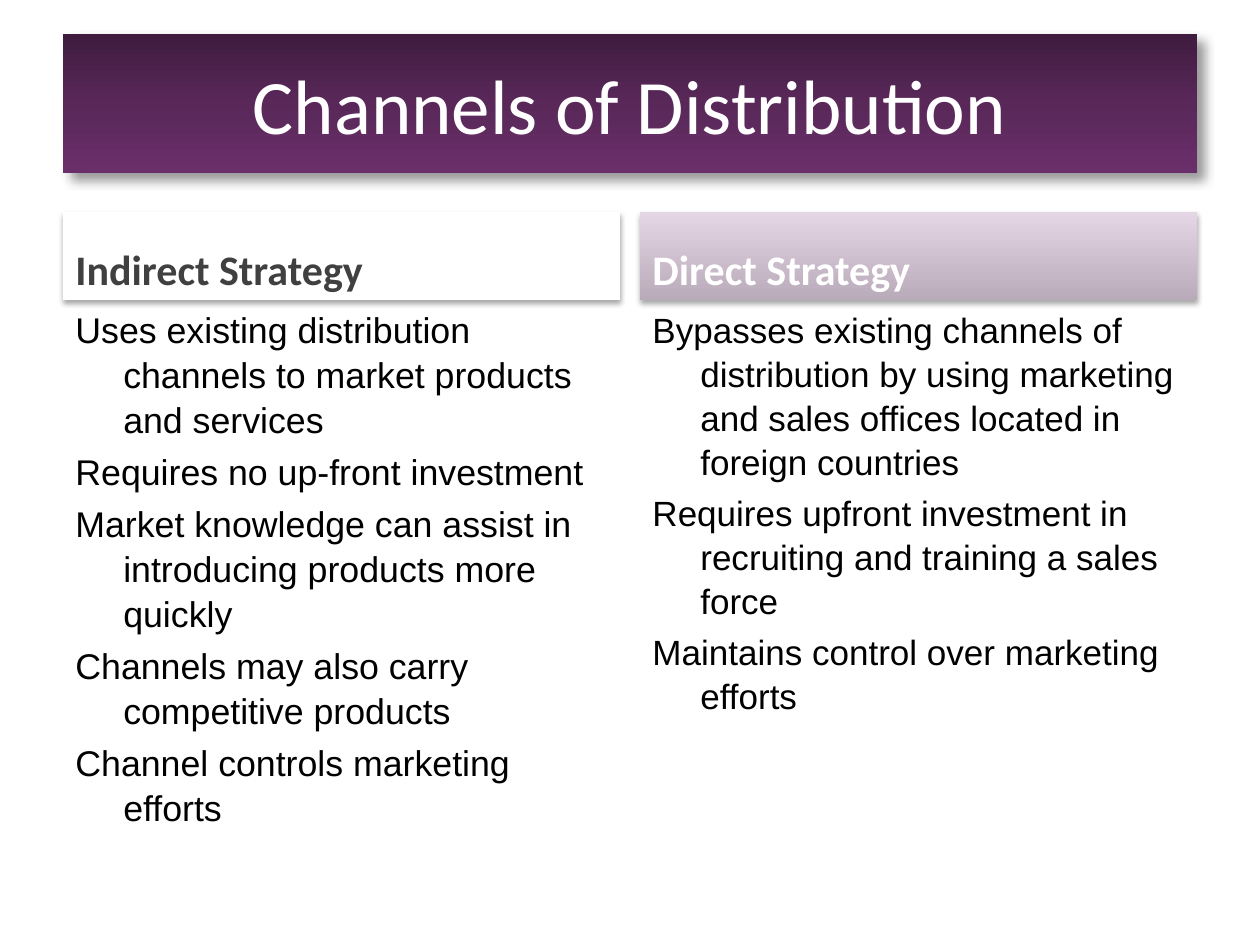
from copy import deepcopy
from dataclasses import dataclass

from lxml import etree
from pptx import Presentation
from pptx import util as u
from pptx.dml.color import RGBColor
from pptx.enum import shapes, text
from pptx.oxml import ns

COLORS = {
    "white": "FFFFFF",
    "black": "000000",
    "charcoal": "404040",
    "plum_dark": "3F1C3F",
    "plum_mid": "592859",
    "plum": "6A2F6A",
    "mauve": "BAABBA",
    "lilac": "E4D6E4",
}
MARGIN = 0.5
COLUMN_WIDTH = 4.42
COLUMN_STEP = 4.58
HEADING_TOP, HEADING_HEIGHT = 1.68, 0.7
POINTS_TOP, POINTS_HEIGHT = 2.38, 4.32
HANGING = u.Inches(0.38)


@dataclass
class Shadow:
    opacity: int
    blur: float
    distance: float
    angle: int


@dataclass
class Strategy:
    heading: str
    heading_color: str
    fill: list[str]
    points: list[str]
    size: float


TITLE_SHADOW = Shadow(40, 6, 6, 45)
HEADING_SHADOW = Shadow(35, 3.1, 1.8, 90)
STRATEGIES = [
    Strategy("Indirect Strategy", "charcoal", ["white"], [
        "Uses existing distribution channels to market products and services",
        "Requires no up-front investment",
        "Market knowledge can assist in introducing products more quickly",
        "Channels may also carry competitive products",
        "Channel controls marketing efforts",
    ], 20.4),
    Strategy("Direct Strategy", "white", ["lilac", "mauve"], [
        "Bypasses existing channels of distribution by using marketing and sales "
        "offices located in foreign countries",
        "Requires upfront investment in recruiting and training a sales force",
        "Maintains control over marketing efforts",
    ], 20),
]


def rgb(name: str) -> RGBColor:
    return RGBColor.from_string(COLORS[name])


def paint(panel, names: list[str]) -> None:
    panel.line.fill.background()
    if len(names) == 1:
        panel.fill.solid()
        panel.fill.fore_color.rgb = rgb(names[0])
        return
    panel.fill.gradient()
    panel.fill.gradient_angle = 270
    stop_list = panel._element.spPr.find(".//" + ns.qn("a:gsLst"))
    for _ in names[2:]:
        stop_list.append(deepcopy(stop_list[0]))
    for index, (stop, name) in enumerate(zip(panel.fill.gradient_stops, names)):
        stop.position = index / (len(names) - 1)
        stop.color.rgb = rgb(name)


def cast_shadow(panel, shadow: Shadow) -> None:
    panel.shadow.inherit = False
    effects = panel._element.spPr.find(ns.qn("a:effectLst"))
    outer = etree.SubElement(
        effects, ns.qn("a:outerShdw"),
        blurRad=str(u.Pt(shadow.blur)), dist=str(u.Pt(shadow.distance)),
        dir=str(shadow.angle * 60000), algn="ctr", rotWithShape="0")
    color = etree.SubElement(outer, ns.qn("a:srgbClr"), val=COLORS["black"])
    etree.SubElement(color, ns.qn("a:alpha"), val=str(shadow.opacity * 1000))


def write(paragraph, words: str, font_name: str, size: float, color: str,
          bold: bool = False) -> None:
    run = paragraph.add_run()
    run.text = words
    run.font.name = font_name
    run.font.size = u.Pt(size)
    run.font.color.rgb = rgb(color)
    run.font.bold = bold


def add_title(slide) -> None:
    title = slide.shapes.title
    title.left, title.top = u.Inches(MARGIN), u.Inches(0.27)
    title.width, title.height = u.Inches(9), u.Inches(1.1)
    paint(title, ["plum_dark", "plum_mid", "plum"])
    cast_shadow(title, TITLE_SHADOW)
    frame = title.text_frame
    frame.auto_size = text.MSO_AUTO_SIZE.NONE
    frame.vertical_anchor = text.MSO_ANCHOR.MIDDLE
    frame.paragraphs[0].alignment = text.PP_ALIGN.CENTER
    write(frame.paragraphs[0], "Channels of Distribution", "Calibri", 44, "white")


def add_heading(slide, strategy: Strategy, left: float) -> None:
    heading = slide.shapes.add_shape(
        shapes.MSO_SHAPE.RECTANGLE, u.Inches(left), u.Inches(HEADING_TOP),
        u.Inches(COLUMN_WIDTH), u.Inches(HEADING_HEIGHT))
    paint(heading, strategy.fill)
    cast_shadow(heading, HEADING_SHADOW)
    frame = heading.text_frame
    frame.word_wrap = True
    frame.vertical_anchor = text.MSO_ANCHOR.BOTTOM
    frame.paragraphs[0].alignment = text.PP_ALIGN.LEFT
    write(frame.paragraphs[0], strategy.heading, "Calibri", 24,
          strategy.heading_color, bold=True)


def add_points(slide, strategy: Strategy, left: float) -> None:
    frame = slide.shapes.add_textbox(
        u.Inches(left), u.Inches(POINTS_TOP),
        u.Inches(COLUMN_WIDTH), u.Inches(POINTS_HEIGHT)).text_frame
    frame.word_wrap = True
    for index, point in enumerate(strategy.points):
        paragraph = frame.add_paragraph() if index else frame.paragraphs[0]
        properties = paragraph._p.get_or_add_pPr()
        properties.set("marL", str(HANGING))
        properties.set("indent", str(-HANGING))
        paragraph.line_spacing = 1.05
        if index:
            paragraph.space_before = u.Pt(4)
        write(paragraph, point, "Arial", strategy.size, "black")


def main() -> None:
    deck = Presentation()
    deck.slide_width, deck.slide_height = u.Inches(10), u.Inches(7.5)
    slide = deck.slides.add_slide(deck.slide_layouts[5])
    add_title(slide)
    for column, strategy in enumerate(STRATEGIES):
        left = MARGIN + column * COLUMN_STEP
        add_heading(slide, strategy, left)
        add_points(slide, strategy, left)
    deck.save("out.pptx")


if __name__ == "__main__":
    main()
